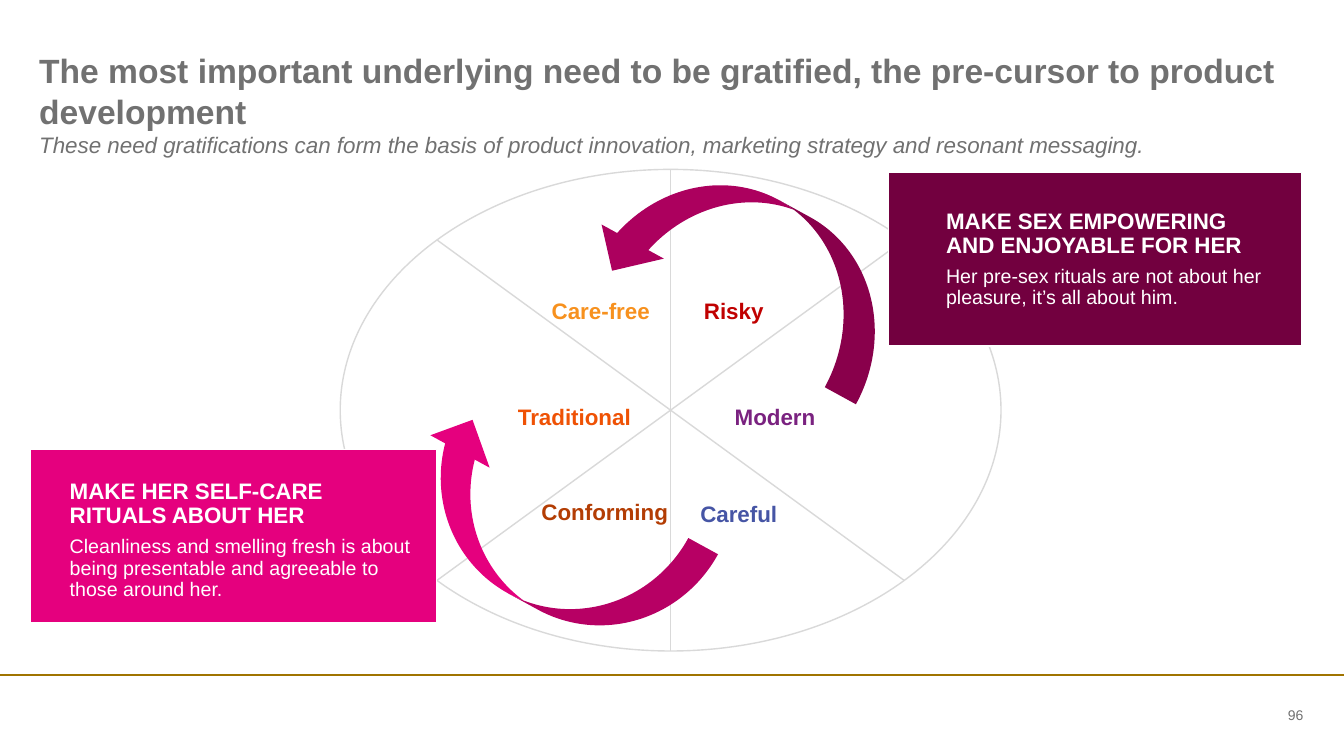
from dataclasses import dataclass
from math import cos, radians, sin

from lxml import etree
from pptx import Presentation
from pptx.dml.color import RGBColor
from pptx.enum.shapes import MSO_CONNECTOR, MSO_SHAPE
from pptx.enum.text import MSO_ANCHOR, PP_ALIGN
from pptx.oxml.ns import qn
from pptx.util import Pt

LEFT, CENTER, RIGHT = PP_ALIGN.LEFT, PP_ALIGN.CENTER, PP_ALIGN.RIGHT
TOP, MIDDLE = MSO_ANCHOR.TOP, MSO_ANCHOR.MIDDLE
ELLIPSE, RECTANGLE = MSO_SHAPE.OVAL, MSO_SHAPE.RECTANGLE
CURVED_ARROW = MSO_SHAPE.CURVED_UP_ARROW
STRAIGHT = MSO_CONNECTOR.STRAIGHT


@dataclass(frozen=True)
class Theme:
    font: str = "Arial"
    title_size: float = 24
    lead_size: float = 16
    body_size: float = 14
    number_size: float = 10
    grey: str = "717171"
    wheel: str = "D9D9D9"
    gold: str = "A07400"
    white: str = "FFFFFF"
    pink: str = "E5007E"
    magenta: str = "AC005E"
    plum: str = "72003F"
    carefree: str = "F7911E"
    risky: str = "C00000"
    traditional: str = "EF5205"
    modern: str = "7A2280"
    conforming: str = "B33D04"
    careful: str = "4655A5"


class SlideBuilder:
    def __init__(self, slide, theme):
        self.shapes = slide.shapes
        self.theme = theme

    def format_runs(self, paragraph, size, color, bold=False, italic=False):
        for run in paragraph.runs:
            run.font.name = self.theme.font
            run.font.size = Pt(size)
            run.font.bold = bold
            run.font.italic = italic
            run.font.color.rgb = RGBColor.from_string(color)

    def set_frame(self, frame, margins, anchor):
        frame.word_wrap = True
        frame.vertical_anchor = anchor
        (frame.margin_left, frame.margin_top,
         frame.margin_right, frame.margin_bottom) = map(Pt, margins)

    def text(self, box, wording, size, color, align=LEFT, anchor=TOP,
             bold=False, italic=False):
        frame = self.shapes.add_textbox(*map(Pt, box)).text_frame
        self.set_frame(frame, (0, 0, 0, 0), anchor)
        frame.text = wording
        paragraph = frame.paragraphs[0]
        paragraph.alignment = align
        self.format_runs(paragraph, size, color, bold, italic)

    def line(self, start, end, color, width):
        connector = self.shapes.add_connector(STRAIGHT, *map(Pt, (*start, *end)))
        connector.line.color.rgb = RGBColor.from_string(color)
        connector.line.width = Pt(width)
        etree.SubElement(connector._element.spPr, qn("a:effectLst"))

    def shape(self, preset, box, fill=None, outline=None):
        shape = self.shapes.add_shape(preset, *map(Pt, box))
        shape.shadow.inherit = False
        if fill:
            shape.fill.solid()
            shape.fill.fore_color.rgb = RGBColor.from_string(fill)
        else:
            shape.fill.background()
        if outline:
            shape.line.color.rgb = RGBColor.from_string(outline)
            shape.line.width = Pt(1)
        else:
            shape.line.fill.background()
        return shape

    def wheel(self, center_x, center_y, radius_x, radius_y, spoke_angles):
        color = self.theme.wheel
        self.shape(ELLIPSE, (center_x - radius_x, center_y - radius_y,
                             2 * radius_x, 2 * radius_y), outline=color)
        for angle in spoke_angles:
            dx = radius_x * cos(radians(angle))
            dy = radius_y * sin(radians(angle))
            self.line((center_x - dx, center_y - dy),
                      (center_x + dx, center_y + dy), color, 1)

    def curved_arrow(self, box, fill, flipped=False):
        arrow = self.shape(CURVED_ARROW, box, fill)
        arrow.rotation = 208.7
        if flipped:
            arrow._element.spPr.xfrm.set("flipV", "1")

    def callout(self, box, fill, margins, heading, body):
        theme = self.theme
        frame = self.shape(RECTANGLE, box, fill, theme.white).text_frame
        self.set_frame(frame, margins, MIDDLE)
        frame.text = heading
        frame.add_paragraph().text = body
        for paragraph in frame.paragraphs:
            paragraph.alignment = LEFT
            paragraph.line_spacing = 0.9
        heading_line, body_line = frame.paragraphs
        heading_line.space_after = Pt(6)
        self.format_runs(heading_line, theme.lead_size, theme.white, bold=True)
        self.format_runs(body_line, theme.body_size, theme.white)


def main():
    theme = Theme()
    deck = Presentation()
    deck.slide_width, deck.slide_height = Pt(960), Pt(540)
    builder = SlideBuilder(deck.slides.add_slide(deck.slide_layouts[6]), theme)

    builder.line((0, 482.2), (960, 482.2), theme.gold, 1.5)
    builder.text((28, 36, 903, 58),
                 "The most important underlying need to be gratified, "
                 "the pre-cursor to product development",
                 theme.title_size, theme.grey, bold=True)
    builder.text((854.5, 503, 76.5, 16), "96", theme.number_size, theme.grey,
                 align=RIGHT, anchor=MIDDLE)
    builder.text((28, 93.5, 903, 24),
                 "These need gratifications can form the basis of product "
                 "innovation, marketing strategy and resonant messaging.",
                 theme.lead_size, theme.grey, italic=True)

    builder.wheel(479, 293, 236, 172, (90, 135, 45))
    needs = (
        ("Conforming", 373.7, 355.7, theme.conforming),
        ("Careful", 469.4, 357, theme.careful),
        ("Modern", 495.3, 288, theme.modern),
        ("Risky", 465.8, 212.4, theme.risky),
        ("Care-free", 370.8, 212.4, theme.carefree),
        ("Traditional", 352, 288, theme.traditional),
    )
    for need, left, top, color in needs:
        builder.text((left, top, 116.6, 19.5), need, theme.lead_size, color,
                     align=CENTER, bold=True)

    builder.curved_arrow((425.5, 139.7, 224, 101.5), theme.magenta)
    builder.curved_arrow((279.4, 336.2, 224, 96.5), theme.pink, flipped=True)

    builder.callout((21.8, 321, 290, 124), theme.pink, (28, 9, 16, 3),
                    "MAKE HER SELF-CARE RITUALS ABOUT HER",
                    "Cleanliness and smelling fresh is about being "
                    "presentable and agreeable to those around her.")
    builder.callout((634.8, 123.3, 295, 124), theme.plum, (41, 3, 20, 3),
                    "MAKE SEX EMPOWERING AND ENJOYABLE FOR HER",
                    "Her pre-sex rituals are not about her pleasure, "
                    "it’s all about him.")

    deck.save("out.pptx")


if __name__ == "__main__":
    main()
